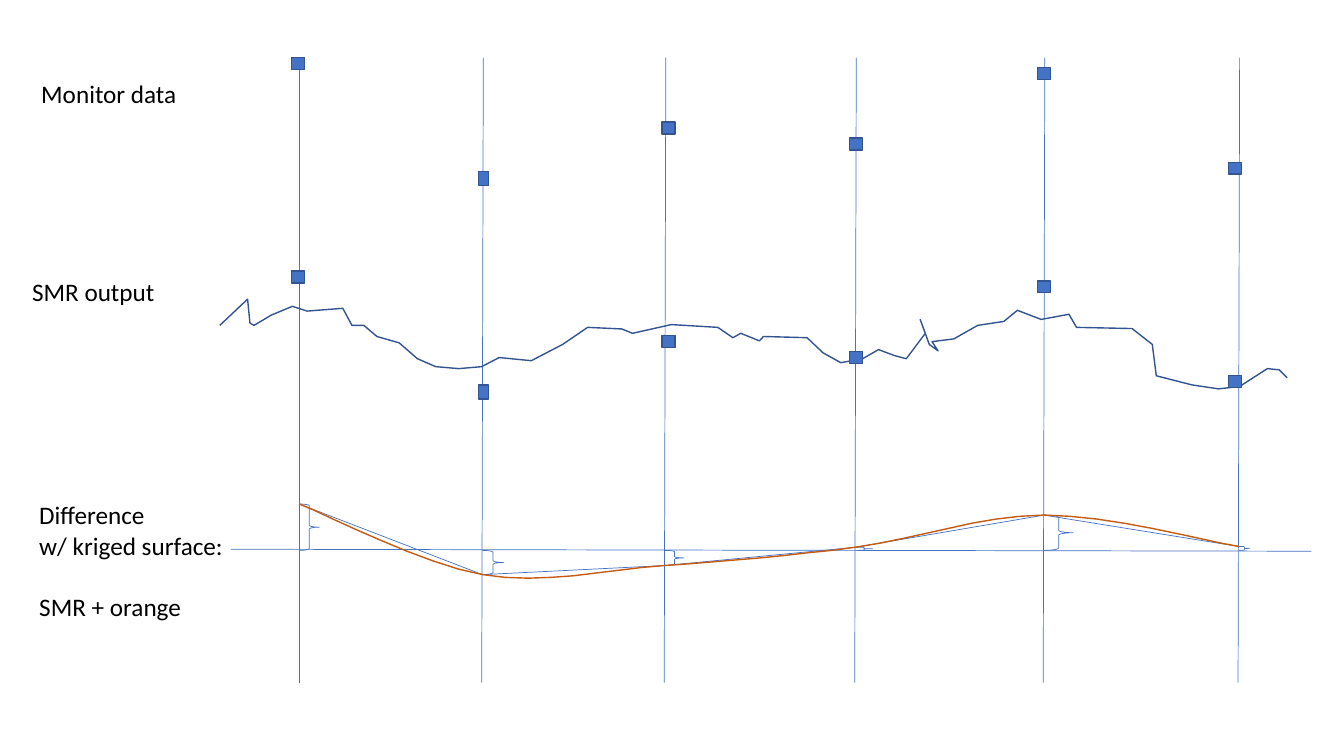
from collections import namedtuple

from lxml.etree import SubElement
from pptx import Presentation
from pptx.dml.color import RGBColor
from pptx.enum.shapes import MSO_CONNECTOR as CONN, MSO_SHAPE as SHAPE
from pptx.enum.text import MSO_AUTO_SIZE as AUTO
from pptx.oxml.ns import qn
from pptx.util import Cm, Pt

COLORS = {"blue": "4472C4", "dark": "325491", "orange": "C55A11", "text": "000000"}
FONT = "Calibri"
UNIT = Cm(0.01)  # grid step of the curves

Box = namedtuple("Box", "left top width height")

# One value per monitoring station, in cm from the corner of its region
STATION_X = [6.98, 11.6, 16.2, 21, 25.75, 30.66]
MARKER_X = [6.95, 11.63, 16.29, 21.02, 25.75, 30.57]
MARKER_Y = [0.15, 3.05, 1.78, 2.18, 0.4, 2.79]
DIFF_Y = [0.23, 2.01, 1.78, 1.32, 0.51, 1.3]
BRACE_WIDTHS = [0.51, 0.53, 0.48, 0.43, 0.74, 0.28]
ZERO_Y = 1.4

# Turning points of the SMR output, in cm from its start
SMR_TRACE = [
    (0, .66), (.7, 0), (.76, .6), (.86, .66), (1.3, .4), (1.83, .18), (2.2, .3),
    (3.1, .23), (3.33, .66), (3.63, .66), (3.96, .94), (4.52, 1.1), (4.98, 1.5),
    (5.44, 1.7), (6.02, 1.75), (6.6, 1.7), (7.04, 1.47), (7.85, 1.55),
    (8.64, 1.14), (9.27, .71), (10.13, .75), (10.4, .86), (11.38, .64),
    (12.55, .71), (12.93, .97), (13.13, .86), (13.6, 1.05), (13.7, .94),
    (14.8, .97), (15.2, 1.35), (15.65, 1.6), (16.2, 1.5), (16.6, 1.27),
    (17, 1.42), (17.3, 1.5), (17.78, .86), (17.65, .51), (17.88, 1.14),
    (18.1, 1.3), (17.95, 1.07), (18.5, 1), (19.1, .66), (19.76, .56),
    (20.1, .28), (20.7, .51), (21.4, .38), (21.59, .71), (22.99, .74),
    (23.5, 1.14), (23.6, 1.93), (24.5, 2.16), (25.17, 2.26), (25.7, 2.2),
    (26.4, 1.75), (26.7, 1.78), (26.9, 1.98),
]


def color(name):
    """Return a named colour of the palette."""
    return RGBColor.from_string(COLORS[name])


def set_line(s, name, width):
    """Give a shape or connector its line colour and width."""
    s.line.color.rgb = color(name)
    s.line.width = Pt(width)


def add_line(slide, box, start, end):
    """Draw a thin blue line between two points of a box."""
    points = [Cm(a + b) for p in (start, end) for a, b in zip(p, box[:2])]
    s = slide.shapes.add_connector(CONN.STRAIGHT, *points)
    set_line(s, "blue", 0.5)
    SubElement(s._element.spPr, qn("a:effectLst"))


def smooth(points, steps=8):
    """Return points on a smooth curve through the given ones."""
    padded = [points[0], *points, points[-1]]
    curve = [points[0]]
    for a, b, c, d in zip(padded, padded[1:], padded[2:], padded[3:]):
        for t in (n / steps for n in range(1, steps + 1)):
            curve.append(tuple(
                q + t / 2 * (r - p + t * (2 * p - 5 * q + 4 * r - s
                                          + t * (3 * q - p - 3 * r + s)))
                for p, q, r, s in zip(a, b, c, d)))
    return curve


def add_curve(slide, box, points, name):
    """Draw an open curve through points given in cm from a box corner."""
    grid = [(round(x * 100), round(y * 100)) for x, y in points]
    fb = slide.shapes.build_freeform(*grid[0], scale=UNIT)
    fb.add_line_segments(grid[1:], close=False)
    s = fb.convert_to_shape(Cm(box.left), Cm(box.top))
    s.fill.background()
    s.shadow.inherit = False
    set_line(s, name, 1)


def add_label(slide, box, x, y, height, lines):
    """Write a region label, one paragraph per line."""
    s = slide.shapes.add_textbox(
        Cm(box.left + x), Cm(box.top + y), Cm(5.82), Cm(height))
    tf = s.text_frame
    tf.word_wrap = True
    tf.auto_size = AUTO.SHAPE_TO_FIT_TEXT
    tf.text = "\n".join(lines)
    for p in tf.paragraphs:
        for r in p.runs:
            r.font.name = FONT
            r.font.size = Pt(18)
            r.font.color.rgb = color("text")
    return tf


def add_markers(slide, box):
    """Place the grouped station markers in a box; the second is upright."""
    group = slide.shapes.add_group_shape()
    for i, (x, y) in enumerate(zip(MARKER_X, MARKER_Y)):
        w, h = (0.25, 0.36) if i == 1 else (0.33, 0.3)
        s = group.shapes.add_shape(
            SHAPE.RECTANGLE, Cm(box.left + x - w / 2), Cm(box.top + y - h / 2),
            Cm(w), Cm(h))
        s.shadow.inherit = False
        s.fill.solid()
        s.fill.fore_color.rgb = color("blue")
        set_line(s, "dark", 1)


def draw_stations(slide, box):
    """Draw the slightly leaning line of every station."""
    for i, x in enumerate(STATION_X):
        lean = 0.02 if i else 0
        add_line(slide, box, (x + lean, 0), (x - lean, box.height))


def draw_monitor(slide, box):
    """Draw the monitor data region."""
    add_markers(slide, box)
    add_label(slide, box, 0.23, 0.4, 1.03, ["Monitor data"])


def draw_smr(slide, box):
    """Draw the SMR output with the monitor markers over it."""
    add_curve(slide, box, [(x + 4.98, y + 0.71) for x, y in SMR_TRACE], "dark")
    add_label(slide, box, 0, 0, 1.03, ["SMR output"])
    add_markers(slide, box)


def draw_difference(slide, box):
    """Draw the differences, their braces and the kriged surface."""
    tf = add_label(slide, box, 0.18, 0, 3.33,
                   ["Difference", "w/ kriged surface:", "SMR + orange"])
    tf.paragraphs[-1].space_before = Pt(22)
    add_line(slide, box, (5.26, ZERO_Y - 0.03), (box.width, ZERO_Y + 0.02))
    points = list(zip(STATION_X, DIFF_Y))
    for (x, y), w in zip(points, BRACE_WIDTHS):
        s = slide.shapes.add_shape(
            SHAPE.RIGHT_BRACE, Cm(box.left + x), Cm(box.top + min(y, ZERO_Y)),
            Cm(w), Cm(abs(y - ZERO_Y)))
        s.shadow.inherit = False
        s.fill.background()
        set_line(s, "blue", 0.5)
    for start, end in zip(points, points[1:]):
        add_line(slide, box, start, end)
    add_curve(slide, box, smooth(points), "orange")


prs = Presentation()
prs.slide_width, prs.slide_height = Cm(33.87), Cm(19.05)
slide = prs.slides.add_slide(prs.slide_layouts[6])
draw_stations(slide, Box(0.56, 1.45, 32.49, 15.75))
draw_monitor(slide, Box(0.56, 1.45, 32.49, 3.2))
draw_smr(slide, Box(0.56, 6.83, 32.49, 3.2))
draw_difference(slide, Box(0.56, 12.47, 32.49, 3.33))
prs.save("out.pptx")
